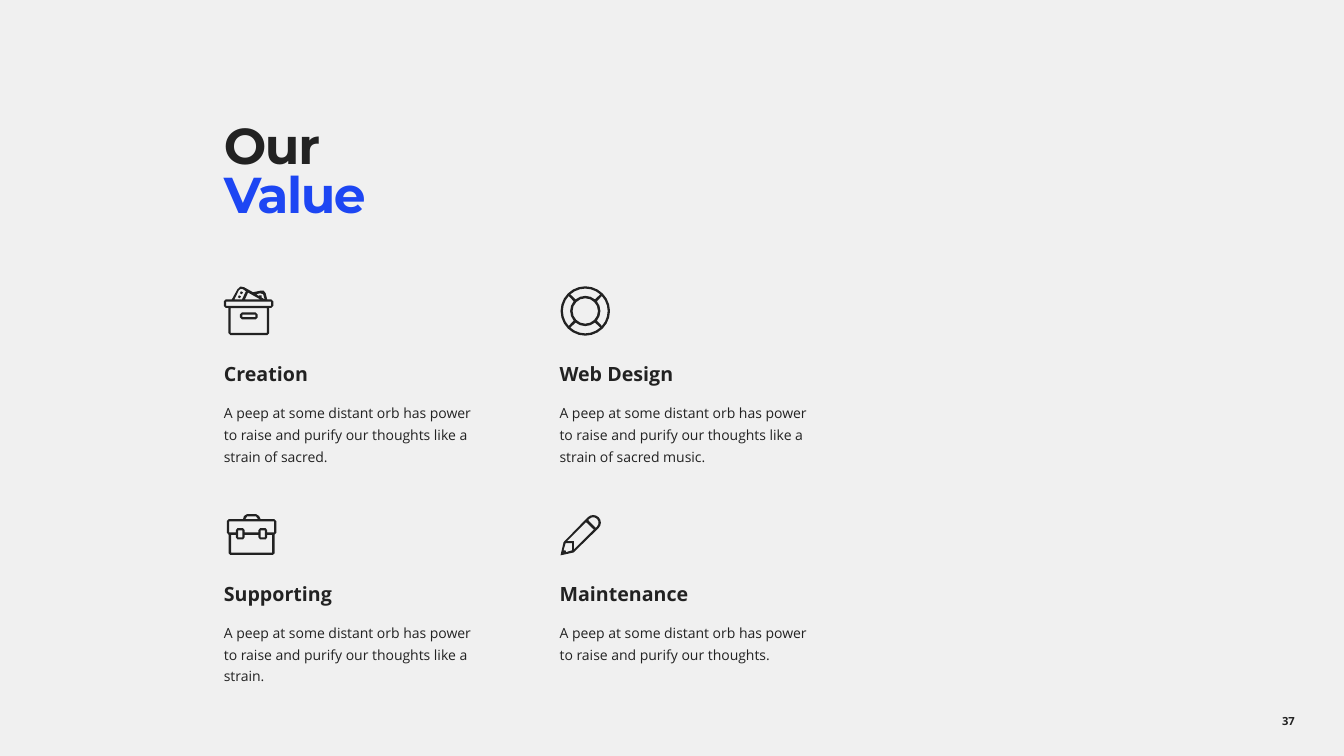
"""Build the "Our Value" slide with four icon and text blocks."""
import math

from pptx import Presentation
from pptx.dml.color import RGBColor
from pptx.enum.text import MSO_ANCHOR, MSO_AUTO_SIZE, PP_ALIGN
from pptx.util import Inches, Pt

TOP, MIDDLE = MSO_ANCHOR.TOP, MSO_ANCHOR.MIDDLE
LEFT, CENTER = PP_ALIGN.LEFT, PP_ALIGN.CENTER
GROW = MSO_AUTO_SIZE.SHAPE_TO_FIT_TEXT

COLORS = {"bg": "F0F0F0", "ink": "222222", "accent": "1D46F3"}
HEAD_FONT, BODY_FONT = "Montserrat", "Open Sans"
TITLE = ("Our ", "Value")
PAGE = "37"
UNIT = 0.01


def arc(cx, cy, radius, start, end, steps):
    angles = [math.radians(start + (end - start) * i / steps) for i in range(steps + 1)]
    return [(cx + radius * math.cos(a), cy + radius * math.sin(a)) for a in angles]


def rect(x1, y1, x2, y2):
    return [(x1, y1), (x2, y1), (x2, y2), (x1, y2)]


def ring_window(middle):
    return (arc(24.5, 24.5, 22.2, middle - 42, middle + 42, 6)
            + arc(24.5, 24.5, 15, middle + 40, middle - 40, 4))


ARCHIVE_BOX = [
    [(0, 15), (2, 13), (8, 13), (13.5, 3), (16.5, 0.3), (20, 1), (29, 6), (36, 4.5),
     (39.5, 4.5), (41.5, 7), (43, 13), (47, 13), (49, 15), (49, 19.5), (47, 21.5),
     (45, 21.5), (45, 46.5), (43, 48.5), (6.5, 48.5), (4.5, 46.5), (4.5, 21.5),
     (2, 21.5), (0, 19.5)],
    rect(2.2, 15.3, 46.8, 19.4),
    rect(6.8, 21.7, 42.7, 46.2),
    [(10.5, 13), (15, 3.8), (17, 2.6), (19, 3), (22, 5), (18, 13)],
    [(21, 13), (24, 6.3), (36, 13)],
    [(32, 8), (36, 7), (39, 8), (40.5, 13), (37.5, 11.3), (37.5, 9), (35, 9), (35, 9.8)],
    [(15, 9), (17, 10), (16, 12), (14, 11)],
    [(17, 5), (19, 6), (18, 8), (16, 7)],
    [(16, 28), (18, 26), (31.5, 26), (33.5, 28), (33.5, 31), (31.5, 33), (18, 33), (16, 31)],
    rect(18.3, 28.3, 31.2, 30.8),
]
LIFEBUOY = [
    arc(24.5, 24.5, 24.5, 0, 345, 23),
    arc(24.5, 24.5, 12.6, 0, 337.5, 15),
] + [ring_window(angle) for angle in (0, 90, 180, 270)]
TOOLBOX = [
    [(0, 7), (2, 5), (16, 5), (17, 2), (20, 0), (29, 0), (32, 2), (33.5, 5), (47, 5),
     (49, 7), (49, 18.5), (47.3, 20.5), (47.3, 39), (45.5, 40.5), (3.5, 40.5),
     (1.8, 39), (1.8, 20.5), (0, 18.5)],
    [(18.3, 5), (20, 2.4), (29, 2.4), (31, 5)],
    [(2.2, 7.3), (46.8, 7.3), (46.8, 18.3), (40, 18.3), (40, 16), (38.5, 14), (33, 14),
     (31.3, 16), (31.3, 18.3), (17.7, 18.3), (17.7, 16), (16, 14), (10.5, 14), (9, 16),
     (9, 18.3), (2.2, 18.3)],
    rect(11.3, 16.2, 15.5, 23),
    rect(33.5, 16.2, 37.7, 23),
    [(4.2, 20.7), (9, 20.7), (9, 23), (10.5, 25.2), (16, 25.2), (17.7, 23), (17.7, 20.7),
     (31.3, 20.7), (31.3, 23), (33, 25.2), (38.5, 25.2), (40, 23), (40, 20.7),
     (45, 20.7), (45, 38.3), (4.2, 38.3)],
]
PENCIL = [
    [(0, 40), (3, 27)] + arc(32.4, 7.6, 7.6, -135, 45, 8) + [(12.9, 37.2)],
    [(27.3, 5)] + arc(32.4, 7.6, 5.4, -135, 45, 6) + [(34.9, 12.7)],
    [(25.3, 7), (33, 14.4), (13.2, 34.2), (13.2, 26), (6.3, 26)],
    [(5, 28), (11.4, 28), (11.4, 35), (5.4, 36.9), (5, 35), (3, 35)],
]

QUOTE = "A peep at some distant orb has power to raise and purify our thoughts"
VALUES = [
    ("Creation", QUOTE + " like a strain of sacred.", (2.75, 1.16), ARCHIVE_BOX, (0, 0)),
    ("Web Design", QUOTE + " like a strain of sacred music.", (2.83, 1.16), LIFEBUOY, (0.01, 0)),
    ("Supporting", QUOTE + " like a strain.", (2.75, 1.16), TOOLBOX, (0.03, 0.08)),
    ("Maintenance", QUOTE + ".", (2.75, 0.95), PENCIL, (0.01, 0.09)),
]
COLUMNS, X0, X_STEP = 2, 2.22, 3.33
ICON_Y, TEXT_Y, Y_STEP = 2.84, 3.48, 2.18


def rgb(name):
    return RGBColor.from_string(COLORS[name])


def add_icon(shapes, contours, left, top):
    outlines = [[(Inches(left + x * UNIT), Inches(top + y * UNIT)) for x, y in contour]
                for contour in contours]
    builder = shapes.build_freeform(*outlines[0][0])
    for i, pts in enumerate(outlines):
        if i:
            builder.move_to(*pts[0])
        builder.add_line_segments(pts[1:], close=True)
    sp = builder.convert_to_shape()
    sp.shadow.inherit = False
    sp.fill.solid()
    sp.fill.fore_color.rgb = rgb("ink")
    sp.line.fill.background()


def add_text(shapes, box, paragraphs, insets, anchor=TOP, align=LEFT):
    tf = shapes.add_textbox(*[Inches(v) for v in box]).text_frame
    tf.word_wrap = True
    tf.vertical_anchor = anchor
    tf.margin_left, tf.margin_top, tf.margin_right, tf.margin_bottom = [Inches(v) for v in insets]
    tf.text = "\n".join(text for text, _, _ in paragraphs)
    for p, (_, size, bold) in zip(tf.paragraphs, paragraphs):
        p.alignment = align
        for r in p.runs:
            r.font.name, r.font.size, r.font.bold = BODY_FONT, Pt(size), bold
            r.font.color.rgb = rgb("ink")
    return tf


def main():
    prs = Presentation()
    prs.slide_width, prs.slide_height = Inches(13.33), Inches(7.5)
    s = prs.slides.add_slide(prs.slide_layouts[6])
    s.background.fill.solid()
    s.background.fill.fore_color.rgb = rgb("bg")

    add_text(s.shapes, (12.23, 6.95, 1.1, 0.4), [(PAGE, 8, True)],
             (0.1, 0.05, 0.1, 0.05), MIDDLE, CENTER)

    tf = add_text(s.shapes, (X0, 1.04, 4.45, 1.37), [("\v".join(TITLE), 36, True)],
                  (0, 0.21, 0, 0))
    p = tf.paragraphs[0]
    p.line_spacing = 0.8
    for r, color in zip(p.runs, ("ink", "accent")):
        r.font.name = HEAD_FONT
        r.font.color.rgb = rgb(color)
        r._r.get_or_add_rPr().set("spc", "-100")

    for i, (name, text, size, icon, (dx, dy)) in enumerate(VALUES):
        row, col = divmod(i, COLUMNS)
        x, y = X0 + col * X_STEP, row * Y_STEP
        add_icon(s.shapes, icon, x + dx, ICON_Y + y + dy)
        tf = add_text(s.shapes, (x, TEXT_Y + y, *size),
                      [(name, 14, True), (text, 10, False)], (0, 0.04, 0.24, 0.04))
        tf.auto_size = GROW
        for p in tf.paragraphs:
            p.line_spacing = 1.3
        tf.paragraphs[1].space_before = Pt(10)

    prs.save("out.pptx")


if __name__ == "__main__":
    main()
